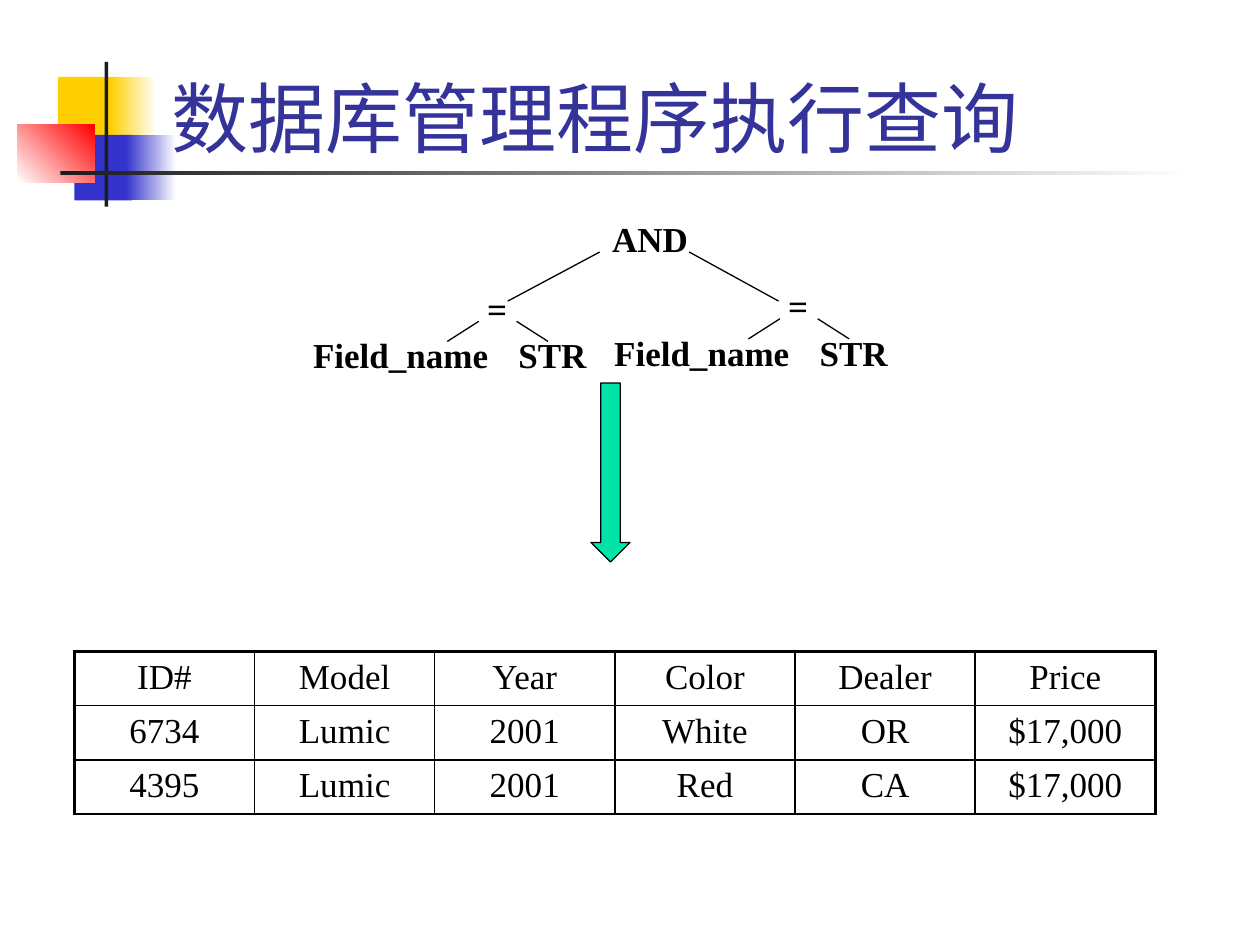
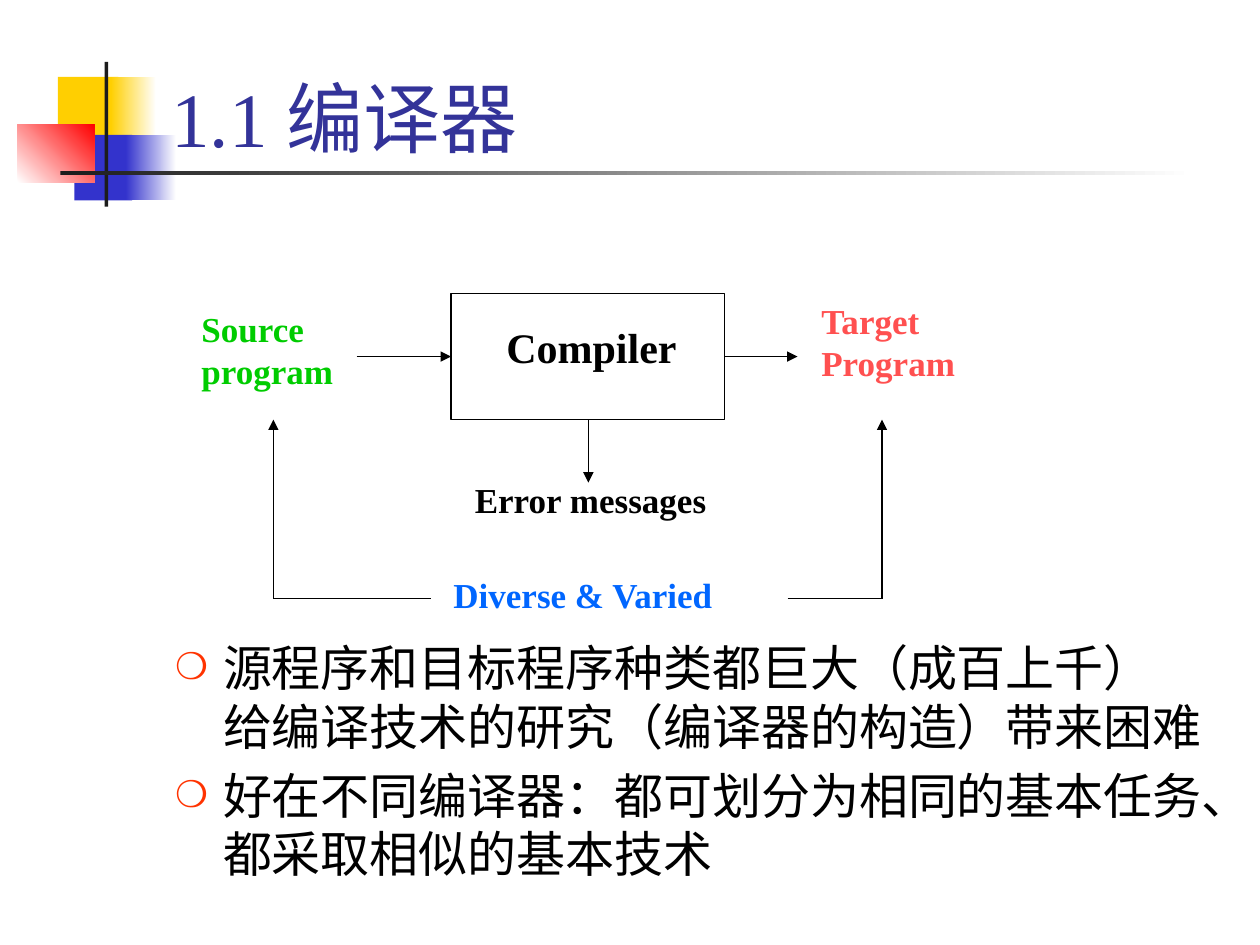
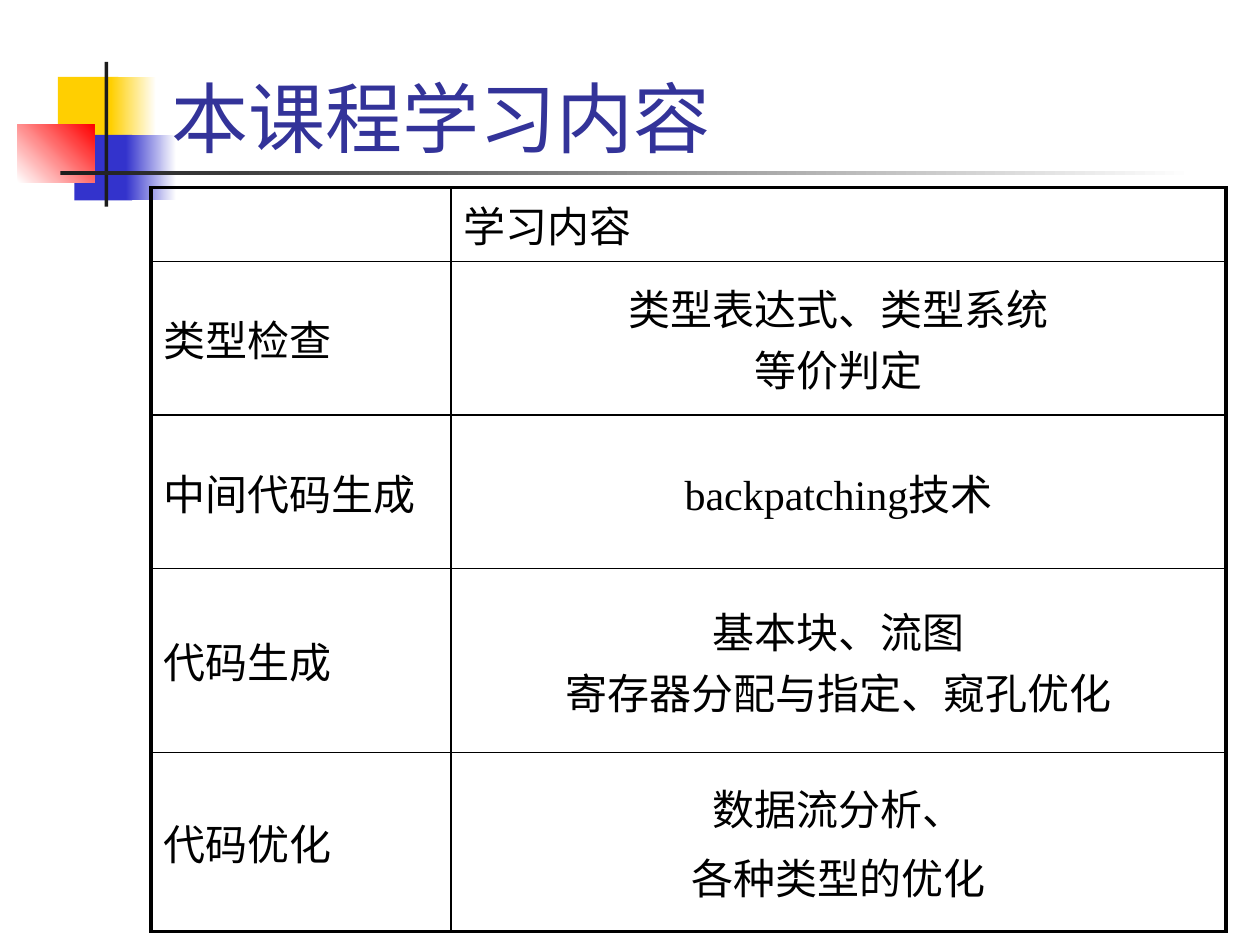
from dataclasses import dataclass

from lxml import etree
from pptx import Presentation
from pptx.dml.color import RGBColor
from pptx.enum.shapes import MSO_CONNECTOR, MSO_SHAPE
from pptx.enum.text import MSO_ANCHOR, MSO_AUTO_SIZE, PP_ALIGN
from pptx.oxml.ns import qn
from pptx.util import Inches, Pt

RECT, DOWN_ARROW = MSO_SHAPE.RECTANGLE, MSO_SHAPE.DOWN_ARROW
STRAIGHT = MSO_CONNECTOR.STRAIGHT
LEFT, CENTER = PP_ALIGN.LEFT, PP_ALIGN.CENTER
TOP, MIDDLE, BOTTOM = MSO_ANCHOR.TOP, MSO_ANCHOR.MIDDLE, MSO_ANCHOR.BOTTOM
NO_FIT = MSO_AUTO_SIZE.NONE
TITLE_AND_BODY, TITLE_ONLY = 1, 5


@dataclass(frozen=True)
class Theme:
    """Colours, font, type sizes and line widths of the deck."""
    font: str = "Times New Roman"
    ink: str = "000000"
    paper: str = "FFFFFF"
    title: str = "333399"
    yellow: str = "FFCF01"
    blue: str = "3333CC"
    red: str = "FF0000"
    bar: str = "1C1C1C"
    arrow: str = "00E4A8"
    source: str = "00CC00"
    target: str = "FF5050"
    varied: str = "0066FF"
    bullet: str = "FF3300"
    title_size: int = 44
    body_size: int = 28
    large_size: int = 24
    label_size: int = 20
    thin: float = 0.75
    grid: float = 1
    frame: float = 2.25


THEME = Theme()
TITLE_BOX = (1.26, 0.09, 8.52, 1.25)


def rgb(value):
    """Return the colour for a hex string."""
    return RGBColor.from_string(value)


def place(shape, box):
    """Move and size a shape to a box given in inches."""
    shape.left, shape.top, shape.width, shape.height = map(Inches, box)


def format_runs(p, size, color, bold=False):
    """Give all runs of a paragraph the same look."""
    for r in p.runs:
        r.font.name = THEME.font
        r.font.size = Pt(size)
        r.font.bold = bold
        r.font.color.rgb = rgb(color)


def add_block(s, kind, box, fill, fade=None, angle=0, line=None):
    """Add a preset shape with a plain or fading fill."""
    sp = s.shapes.add_shape(kind, *map(Inches, box))
    sp.shadow.inherit = False
    if fade:
        sp.fill.gradient()
        sp.fill.gradient_angle = angle
        for stop, color in zip(sp.fill.gradient_stops, (fill, fade)):
            stop.color.rgb = rgb(color)
    else:
        sp.fill.solid()
        sp.fill.fore_color.rgb = rgb(fill)
    if line:
        sp.line.color.rgb = rgb(line)
        sp.line.width = Pt(THEME.thin)
    else:
        sp.line.fill.background()
    return sp


def add_label(s, text, box, size=THEME.label_size, color=THEME.ink, align=LEFT):
    """Add a bold wrapped label."""
    tf = s.shapes.add_textbox(*map(Inches, box)).text_frame
    tf.word_wrap = True
    p = tf.paragraphs[0]
    p.text = text
    p.alignment = align
    format_runs(p, size, color, True)


def add_line(s, start, end, arrow=False):
    """Add a thin straight line, with an arrowhead at its end if asked."""
    c = s.shapes.add_connector(STRAIGHT, *map(Inches, (*start, *end)))
    c.line.color.rgb = rgb(THEME.ink)
    c.line.width = Pt(THEME.thin)
    if arrow:
        etree.SubElement(c.get_or_add_ln(), qn("a:tailEnd"), type="triangle")
    etree.SubElement(c.element.spPr, qn("a:effectLst"))


def decorate_master(prs, s):
    """Draw the coloured squares and bars and move them to the master."""
    t = THEME
    blocks = (
        ((0.46, 0.61, 0.48, 0.52), t.yellow, None, 0),
        ((0.88, 0.61, 0.36, 0.52), t.yellow, t.paper, 0),
        ((0.59, 1.07, 0.46, 0.52), t.blue, None, 0),
        ((1, 1.07, 0.4, 0.52), t.blue, t.paper, 0),
        ((0.14, 0.99, 0.61, 0.46), t.paper, t.red, 45),
        ((0.83, 0.49, 0.03, 1.15), t.bar, None, 0),
        ((0.48, 1.36, 9, 0.03), t.bar, t.paper, 0),
    )
    tree = prs.slide_master.shapes.element
    for i, (box, fill, fade, angle) in enumerate(blocks):
        sp = add_block(s, RECT, box, fill, fade, angle)
        tree.insert(2 + i, sp.element)


def add_slide(prs, layout, title):
    """Add a slide with its formatted title."""
    s = prs.slides.add_slide(prs.slide_layouts[layout])
    place(s.shapes.title, TITLE_BOX)
    tf = s.shapes.title.text_frame
    tf.text = title
    tf.auto_size = NO_FIT
    tf.vertical_anchor = BOTTOM
    p = tf.paragraphs[0]
    p.alignment = LEFT
    format_runs(p, THEME.title_size, THEME.title)
    return s


def set_borders(cell, widths):
    """Draw the left, right, top and bottom borders of a cell."""
    tc_pr = cell._tc.get_or_add_tcPr()
    for side, width in zip("LRTB", widths):
        ln = etree.SubElement(tc_pr, qn(f"a:ln{side}"), w=str(Pt(width)))
        fill = etree.SubElement(ln, qn("a:solidFill"))
        etree.SubElement(fill, qn("a:srgbClr"), val=THEME.ink)


def add_grid(s, origin, cols, heights, rows, size, anchor, align, closed):
    """Add a framed table; align gives the alignment of a row and column."""
    box = (*origin, sum(cols), sum(heights))
    table = s.shapes.add_table(len(rows), len(cols), *map(Inches, box)).table
    table.first_row = table.horz_banding = False
    for column, width in zip(table.columns, cols):
        column.width = Inches(width)
    last_row, last_col = len(rows) - 1, len(cols) - 1
    for i, (row, texts) in enumerate(zip(table.rows, rows)):
        row.height = Inches(heights[i])
        for j, (cell, text) in enumerate(zip(row.cells, texts)):
            outer = (j == 0, j == last_col, i == 0, closed and i == last_row)
            set_borders(cell, [THEME.frame if o else THEME.grid for o in outer])
            cell.fill.background()
            cell.vertical_anchor = anchor
            cell.text_frame.text = text
            for k, p in enumerate(cell.text_frame.paragraphs):
                p.alignment = align(i, j)
                p.space_before = Pt(0.2 * size if k else 0)
                format_runs(p, size, THEME.ink)


def add_equality(s, x, y):
    """Add one comparison subtree at a corner."""
    for text, dx, dy, width in (("Field_name", 0, 0.37, 1.72),
                                ("=", 1.29, 0, 0.67),
                                ("STR", 1.64, 0.37, 0.85)):
        add_label(s, text, (x + dx, y + dy, width, 0.44), align=CENTER)
    for start, end in ((1.48, 1.23), (1.78, 2.03)):
        add_line(s, (x + start, y + 0.32), (x + end, y + 0.48))


def add_query_tree(s, x, y):
    """Add the query tree with its root and two comparisons."""
    add_label(s, "AND", (x + 2.37, y, 0.94, 0.44), align=CENTER)
    for start, end in ((2.44, 1.71), (3.15, 3.86)):
        add_line(s, (x + start, y + 0.32), (x + end, y + 0.71))
    add_equality(s, x, y + 0.55)
    add_equality(s, x + 2.39, y + 0.53)


def add_compiler_diagram(s, x, y):
    """Add the compiler with its inputs, outputs and return arrows."""
    t = THEME
    add_block(s, RECT, (x + 2.08, y, 2.17, 1), t.paper, line=t.ink)
    labels = (
        ("Compiler", (2.42, 0.17, 1.75, 0.5), t.large_size, t.ink),
        ("Source program", (0, 0.06, 1.75, 0.77), t.label_size, t.source),
        ("Target Program", (4.92, 0, 1.75, 0.77), t.label_size, t.target),
        ("Error messages", (2.17, 1.42, 2.75, 0.43), t.label_size, t.ink),
        ("Diverse & Varied", (2, 2.17, 2.92, 0.43), t.label_size, t.varied),
    )
    for text, (dx, dy, w, h), size, color in labels:
        add_label(s, text, (x + dx, y + dy, w, h), size, color)
    lines = (
        ((1.33, 0.5), (2.08, 0.5), True),
        ((4.25, 0.5), (4.83, 0.5), True),
        ((3.17, 1), (3.17, 1.5), True),
        ((4.75, 2.42), (5.5, 2.42), False),
        ((5.5, 2.42), (5.5, 1), True),
        ((1.92, 2.42), (0.67, 2.42), False),
        ((0.67, 2.42), (0.67, 1), True),
    )
    for (x1, y1), (x2, y2), arrow in lines:
        add_line(s, (x + x1, y + y1), (x + x2, y + y2), arrow)


def add_bullets(s, box, items):
    """Fill the body placeholder with a ring-bulleted list."""
    body = s.placeholders[1]
    place(body, box)
    tf = body.text_frame
    tf.text = "\n".join(items)
    tf.auto_size = NO_FIT
    for i, p in enumerate(tf.paragraphs):
        p_pr = p._p.get_or_add_pPr()
        p_pr.set("marL", str(Inches(0.38)))
        p_pr.set("indent", str(Inches(-0.38)))
        color = etree.SubElement(p_pr, qn("a:buClr"))
        etree.SubElement(color, qn("a:srgbClr"), val=THEME.bullet)
        etree.SubElement(p_pr, qn("a:buSzPct"), val="75000")
        etree.SubElement(p_pr, qn("a:buChar"), char="❍")
        p.space_before = Pt(0.2 * THEME.body_size if i else 0)
        format_runs(p, THEME.body_size, THEME.ink)


def build_query_slide(prs):
    """Build the slide on running a query."""
    s = add_slide(prs, TITLE_ONLY, "数据库管理程序执行查询")
    decorate_master(prs, s)
    add_block(s, DOWN_ARROW, (4.69, 3.04, 0.31, 1.42), THEME.arrow,
              line=THEME.ink)
    rows = (
        ("ID#", "Model", "Year", "Color", "Dealer", "Price"),
        ("6734", "Lumic", "2001", "White", "OR", "$17,000"),
        ("4395", "Lumic", "2001", "Red", "CA", "$17,000"),
    )
    add_grid(s, (0.59, 5.17), [1.43] * 6, [0.43] * 3, rows, THEME.label_size,
             TOP, lambda i, j: CENTER, False)
    add_query_tree(s, 2.32, 1.68)


def build_compiler_slide(prs):
    """Build the slide on what a compiler does."""
    s = add_slide(prs, TITLE_AND_BODY, "1.1 编译器")
    add_compiler_diagram(s, 1.5, 2.33)
    add_bullets(s, (1.29, 5.01, 8.5, 1.5), (
        "源程序和目标程序种类都巨大（成百上千）\v给编译技术的研究（编译器的构造）带来困难",
        "好在不同编译器：都可划分为相同的基本任务、都采取相似的基本技术",
    ))


def build_course_slide(prs):
    """Build the slide on the course contents."""
    s = add_slide(prs, TITLE_ONLY, "本课程学习内容")
    rows = (
        ("", "学习内容"),
        ("类型检查", "类型表达式、类型系统\v等价判定"),
        ("中间代码生成", "backpatching技术"),
        ("代码生成", "基本块、流图\v寄存器分配与指定、窥孔优化"),
        ("代码优化", "数据流分析、\n各种类型的优化"),
    )
    add_grid(s, (1.2, 1.49), (2.38, 6.15), (0.58, 1.22, 1.22, 1.46, 1.42),
             rows, THEME.large_size, MIDDLE,
             lambda i, j: CENTER if i and j else LEFT, True)


def main():
    """Build the three slides and save them."""
    prs = Presentation()
    prs.slide_width, prs.slide_height = Inches(10), Inches(7.5)
    build_query_slide(prs)
    build_compiler_slide(prs)
    build_course_slide(prs)
    prs.save("out.pptx")


if __name__ == "__main__":
    main()
